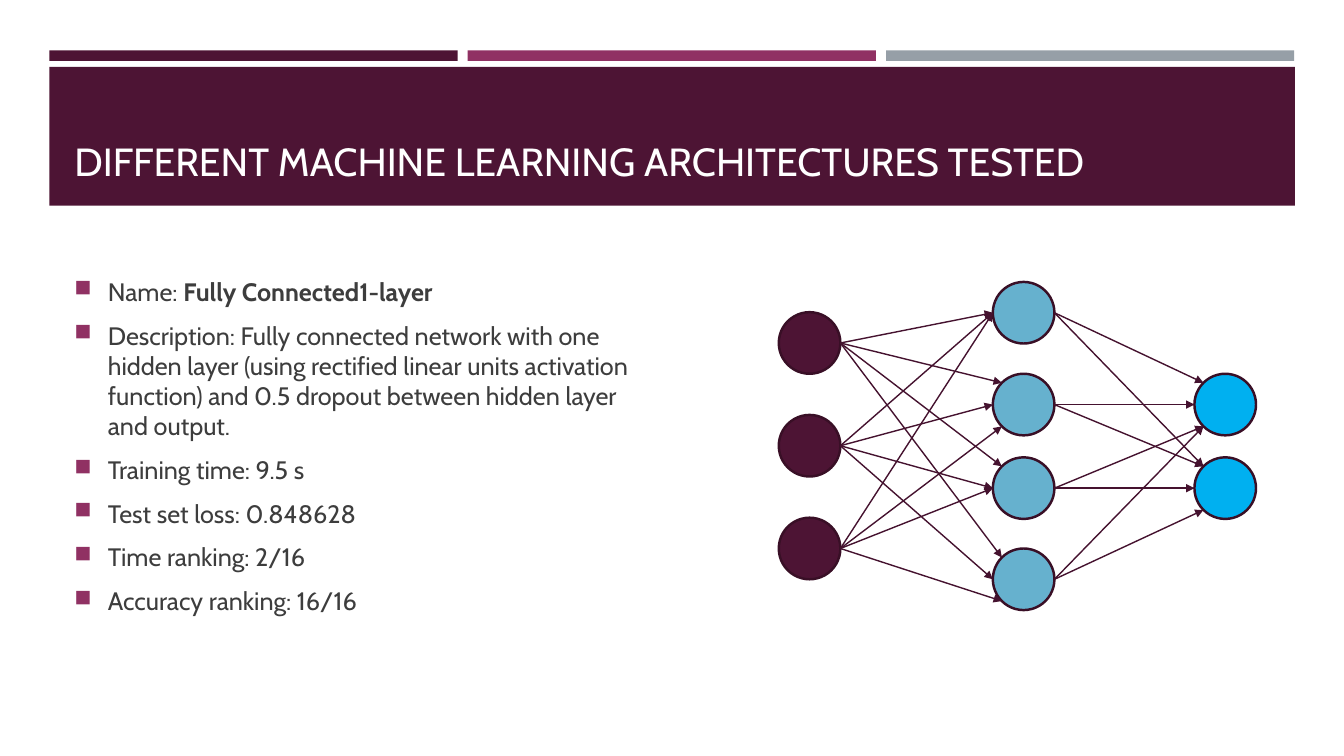
from lxml.etree import SubElement
from pptx import Presentation
from pptx.dml.color import RGBColor
from pptx.enum.shapes import MSO_CONNECTOR, MSO_SHAPE
from pptx.enum.text import MSO_ANCHOR, PP_ALIGN
from pptx.oxml.ns import qn
from pptx.util import Pt

COLORS = {
    "plum": "4D1434",
    "magenta": "903163",
    "grey": "969FA7",
    "outline": "390F26",
    "arrow": "45122F",
    "hidden": "66B1CE",
    "output": "00B0F0",
    "white": "FFFFFF",
    "body": "3D3D3D",
}
FONT = "Cabin"

STRIPE_LEFT, STRIPE_PITCH = 35.3, 298.8
STRIPES = ["plum", "magenta", "grey"]

TITLE = "DIFFERENT MACHINE LEARNING ARCHITECTURES TESTED"
FACTS = [
    ("Name: ", "Fully Connected1-layer"),
    ("Description: Fully connected network with one hidden layer (using "
     "rectified linear units activation function) and 0.5 dropout between "
     "hidden layer and output.", ""),
    ("Training time: 9.5 s", ""),
    ("Test set loss: 0.848628", ""),
    ("Time ranking: 2/16", ""),
    ("Accuracy ranking: 16/16", ""),
]

NODE_SIZE = 44
DIAGONAL_INSET = 6.44  # from the node's bounding box to its edge at 45 degrees

# Layer: fill, left edge, node tops
LAYERS = [
    ("plum", 556.3, [223 + 73.4 * row for row in range(3)]),
    ("hidden", 709.2, [201.4, 267, 326.7, 391.8]),
    ("output", 853.2, [267, 326.7]),
]
# For each target node, where the arrow from each source node lands
LANDINGS = [
    [["left", "left", "left"],
     ["upper", "left", "lower"],
     ["upper", "left", "left"],
     ["upper", "left", "lower"]],
    [["upper", "left", "lower", "lower"],
     ["upper", "upper", "left", "lower"]],
]


def rgb(name):
    return RGBColor.from_string(COLORS[name])


def apply_format(target, values):
    for attribute, value in values.items():
        setattr(target, attribute, value)


def add_filled(slide, preset, box, fill, outline=None):
    shape = slide.shapes.add_shape(preset, *map(Pt, box))
    shape.shadow.inherit = False
    shape.fill.solid()
    shape.fill.fore_color.rgb = rgb(fill)
    if outline:
        shape.line.color.rgb = rgb(outline)
        shape.line.width = Pt(1.75)
    else:
        shape.line.fill.background()


def add_text_frame(slide, box, anchor):
    frame = slide.shapes.add_textbox(*map(Pt, box)).text_frame
    apply_format(frame, {"word_wrap": True, "vertical_anchor": anchor})
    return frame


def add_run(paragraph, text, size, color, bold=False):
    run = paragraph.add_run()
    run.text = text
    apply_format(run.font, {"name": FONT, "size": Pt(size), "bold": bold})
    run.font.color.rgb = rgb(color)


def add_bullet(paragraph):
    properties = paragraph._p.get_or_add_pPr()
    properties.set("marL", str(Pt(24)))
    properties.set("indent", str(Pt(-24)))
    bullet_color = SubElement(properties, qn("a:buClr"))
    SubElement(bullet_color, qn("a:srgbClr"), val=COLORS["magenta"])
    SubElement(properties, qn("a:buSzPct"), val="92000")
    SubElement(properties, qn("a:buChar"), char="■")


def add_arrow(slide, start, end):
    arrow = slide.shapes.add_connector(
        MSO_CONNECTOR.STRAIGHT, *map(Pt, (*start, *end)))
    arrow.line.color.rgb = rgb("arrow")
    arrow.line.width = Pt(1)
    SubElement(arrow.line._get_or_add_ln(), qn("a:tailEnd"), type="triangle")
    SubElement(arrow._element.spPr, qn("a:effectLst"))


def landing_point(left, top, place):
    """Return the point on a node's left half where an arrow ends."""
    return {
        "upper": (left + DIAGONAL_INSET, top + DIAGONAL_INSET),
        "left": (left, top + NODE_SIZE / 2),
        "lower": (left + DIAGONAL_INSET, top + NODE_SIZE - DIAGONAL_INSET),
    }[place]


def add_header(slide):
    for column, color in enumerate(STRIPES):
        left = STRIPE_LEFT + column * STRIPE_PITCH
        add_filled(slide, MSO_SHAPE.RECTANGLE, (left, 36, 291.6, 7.5), color)
    add_filled(slide, MSO_SHAPE.RECTANGLE,
               (STRIPE_LEFT, 47.7, 889.6, 99.2), "plum")
    title = add_text_frame(slide, (46, 57.6, 868, 77.8), MSO_ANCHOR.BOTTOM)
    add_run(title.paragraphs[0], TITLE, 28, "white")


def add_facts(slide):
    frame = add_text_frame(slide, (46, 175.7, 427, 285.8), MSO_ANCHOR.MIDDLE)
    spacing = {"alignment": PP_ALIGN.LEFT,
               "space_before": Pt(3.6), "space_after": Pt(6)}
    for index, (plain, strong) in enumerate(FACTS):
        paragraph = frame.add_paragraph() if index else frame.paragraphs[0]
        apply_format(paragraph, spacing)
        add_bullet(paragraph)
        add_run(paragraph, plain, 18, "body")
        if strong:
            add_run(paragraph, strong, 18, "body", bold=True)


def add_network(slide):
    for fill, left, tops in LAYERS:
        for top in tops:
            add_filled(slide, MSO_SHAPE.OVAL,
                       (left, top, NODE_SIZE, NODE_SIZE), fill, "outline")
    for source, target, landings in zip(LAYERS, LAYERS[1:], LANDINGS):
        _, source_left, source_tops = source
        _, target_left, target_tops = target
        for target_top, places in zip(target_tops, landings):
            for source_top, place in zip(source_tops, places):
                start = (source_left + NODE_SIZE, source_top + NODE_SIZE / 2)
                end = landing_point(target_left, target_top, place)
                add_arrow(slide, start, end)


def main():
    presentation = Presentation()
    apply_format(presentation,
                 {"slide_width": Pt(960), "slide_height": Pt(540)})
    slide = presentation.slides.add_slide(presentation.slide_layouts[6])
    add_header(slide)
    add_facts(slide)
    add_network(slide)
    presentation.save("out.pptx")


if __name__ == "__main__":
    main()
